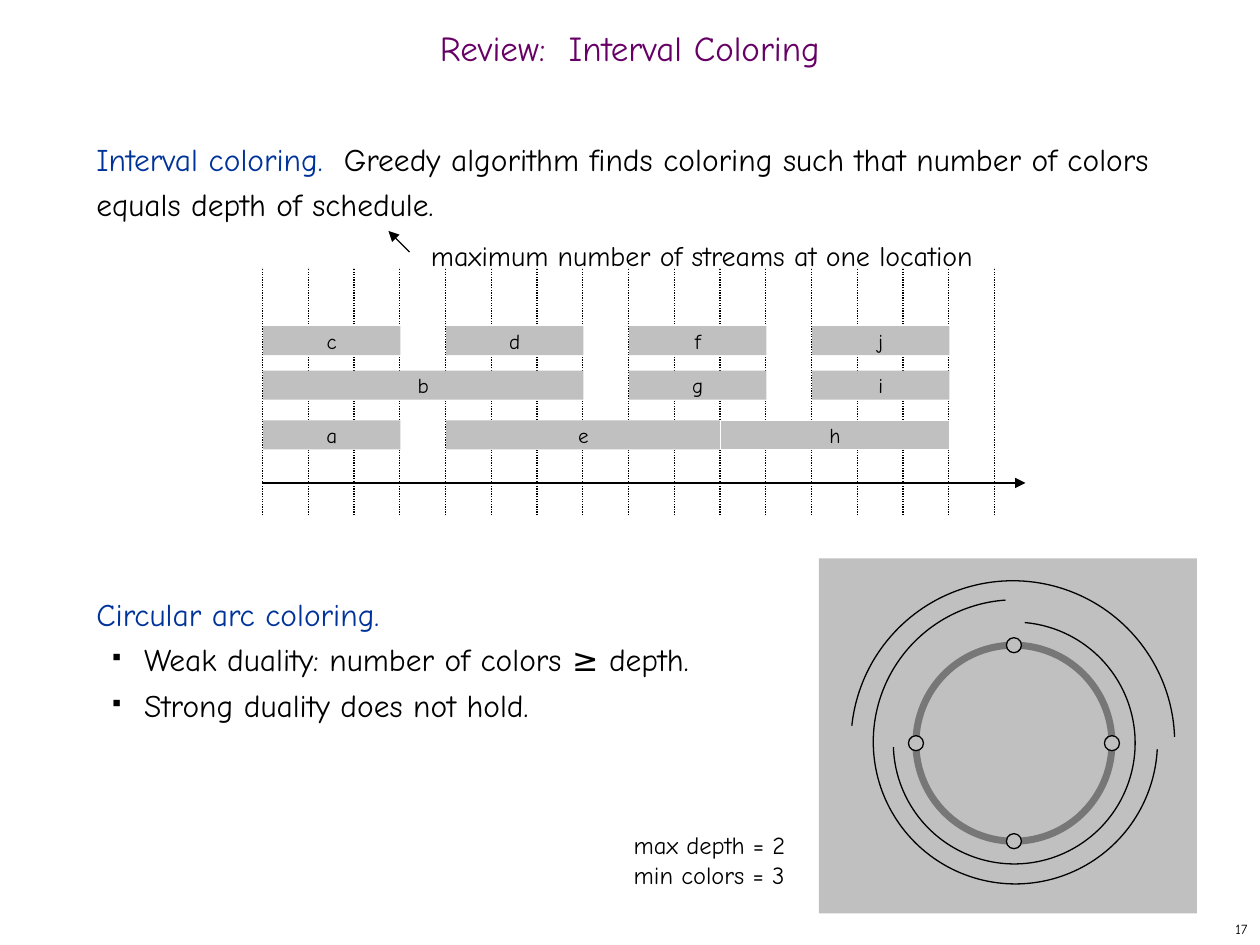
from dataclasses import dataclass

from lxml import etree
from pptx import Presentation
from pptx import util as u
from pptx.dml import color
from pptx.enum import dml, shapes, text
from pptx.oxml import ns


@dataclass(frozen=True)
class Theme:
    """Colours, font and type sizes of the deck."""
    font: str = "Comic Neue"
    ink: str = "000000"
    heading: str = "660066"
    accent: str = "003399"
    panel: str = "C0C0C0"
    ring: str = "777777"
    paper: str = "FFFFFF"
    title: float = 20
    body: float = 18
    caption: float = 16
    note: float = 14
    label: float = 12
    number: float = 8
    thin: float = 0.75


class Painter:
    """Draws themed elements on the current slide, in points."""

    def __init__(self, slide, theme):
        """Keep the slide and the theme."""
        self.slide, self.theme = slide, theme

    def style(self, span, size, ink=None):
        """Format one run."""
        span.font.name, span.font.size = self.theme.font, u.Pt(size)
        span.font.color.rgb = color.RGBColor.from_string(ink or self.theme.ink)

    def fill_text(self, frame, words, size, ink=None, align=None, middle=False, wrap=True):
        """Set the text of a frame and format all of it."""
        frame.text = words
        frame.word_wrap = wrap
        frame.auto_size = text.MSO_AUTO_SIZE.NONE
        frame.vertical_anchor = text.MSO_ANCHOR.MIDDLE if middle else text.MSO_ANCHOR.TOP
        for para in frame.paragraphs:
            para.alignment = align
            for span in para.runs:
                self.style(span, size, ink)

    def title(self, words, left, top, width, height):
        """Move and format the title placeholder."""
        box = self.slide.shapes.title
        box.left, box.top, box.width, box.height = map(u.Pt, (left, top, width, height))
        self.fill_text(box.text_frame, words, self.theme.title, self.theme.heading,
                       text.PP_ALIGN.CENTER, middle=True)
        box.text_frame.paragraphs[0].line_spacing = 0.7

    def text_box(self, words, left, top, width, height, size, **options):
        """Add a text box and return its frame."""
        box = self.slide.shapes.add_textbox(*map(u.Pt, (left, top, width, height)))
        self.fill_text(box.text_frame, words, size, **options)
        return box.text_frame

    def body(self, paragraphs, left, top, width, height, leading):
        """Add body text from (spans, bulleted, space before) entries."""
        frame = self.text_box("", left, top, width, height, self.theme.body)
        for index, (spans, bulleted, gap) in enumerate(paragraphs):
            para = frame.add_paragraph() if index else frame.paragraphs[0]
            para.line_spacing, para.space_before = u.Pt(leading), u.Pt(gap)
            for words, ink in spans:
                span = para.add_run()
                span.text = words
                self.style(span, self.theme.body, ink)
            if bulleted:
                self.bullet(para)

    def bullet(self, para):
        """Give a paragraph a small square bullet and a hanging indent."""
        props = para._p.get_or_add_pPr()
        props.set("marL", str(u.Pt(27.36)))
        props.set("indent", str(u.Pt(-18)))
        tint = etree.SubElement(props, ns.qn("a:buClr"))
        etree.SubElement(tint, ns.qn("a:srgbClr"), val=self.theme.ink)
        etree.SubElement(props, ns.qn("a:buSzPct"), val="35000")
        etree.SubElement(props, ns.qn("a:buChar"), char="■")

    def shape(self, kind, left, top, width, height, fill=None, line=None, weight=None):
        """Add a preset shape with an optional fill and outline."""
        shape = self.slide.shapes.add_shape(kind, *map(u.Pt, (left, top, width, height)))
        shape.shadow.inherit = False
        if fill:
            shape.fill.solid()
            shape.fill.fore_color.rgb = color.RGBColor.from_string(fill)
        else:
            shape.fill.background()
        if line:
            shape.line.color.rgb = color.RGBColor.from_string(line)
            shape.line.width = u.Pt(weight or self.theme.thin)
        else:
            shape.line.fill.background()
        return shape

    def bar(self, label, left, top, width, height, line=None):
        """Add a labelled interval bar."""
        box = self.shape(shapes.MSO_SHAPE.RECTANGLE, left, top, width, height,
                         self.theme.panel, line)
        self.fill_text(box.text_frame, label, self.theme.label,
                       align=text.PP_ALIGN.CENTER, middle=True, wrap=False)

    def circle(self, x, y, radius, line, weight=None):
        """Add a filled circle around a centre."""
        self.shape(shapes.MSO_SHAPE.OVAL, x - radius, y - radius, 2 * radius, 2 * radius,
                   self.theme.panel, line, weight)

    def arc(self, x, y, radius, start, end):
        """Add a clockwise arc between two angles in degrees."""
        arc = self.shape(shapes.MSO_SHAPE.ARC, x - radius, y - radius, 2 * radius,
                         2 * radius, line=self.theme.ink)
        for index, angle in enumerate((start, end)):
            arc.adjustments[index] = angle * 0.6

    def line(self, x1, y1, x2, y2, weight=None, dotted=False, arrow=False):
        """Add a straight line, dotted or with an arrowhead if asked."""
        line = self.slide.shapes.add_connector(
            shapes.MSO_CONNECTOR.STRAIGHT, *map(u.Pt, (x1, y1, x2, y2)))
        line.line.color.rgb = color.RGBColor.from_string(self.theme.ink)
        line.line.width = u.Pt(weight or self.theme.thin)
        if dotted:
            line.line.dash_style = dml.MSO_LINE.ROUND_DOT
        props = line._element.spPr
        if arrow:
            etree.SubElement(props.find(ns.qn("a:ln")), ns.qn("a:tailEnd"), type="triangle")
        etree.SubElement(props, ns.qn("a:effectLst"))


def draw_schedule(painter):
    """Draw the time grid, its axis and the interval bars."""
    left, step, axis = 150, 26.14, 276
    for index in range(17):
        x = left + index * step
        painter.line(x, 294.5, x, 153, dotted=True)
    painter.line(left, axis, 586, axis, weight=1.25, arrow=True)
    rows = {
        186.4: [("c", 0, 3), ("d", 4, 3), ("f", 8, 3), ("j", 12, 3)],
        211.8: [("b", 0, 7), ("g", 8, 3), ("i", 12, 3)],
        240.3: [("a", 0, 3), ("e", 4, 6), ("h", 10, 5)],
    }
    for top, bars in rows.items():
        for label, start, length in bars:
            painter.bar(label, left + start * step + 0.4, top, length * step, 16.6,
                        painter.theme.paper if label == "h" else None)


def draw_circular_arcs(painter):
    """Draw the ring with four nodes and the three arcs around it."""
    theme, x, y, radius = painter.theme, 579.4, 424.7, 56
    painter.shape(shapes.MSO_SHAPE.RECTANGLE, 468, 319, 216, 203, theme.panel)
    painter.circle(x, y, radius, theme.ring, 4)
    for across, down in ((0, -1), (0, 1), (1, 0), (-1, 0)):
        painter.circle(x + across * radius, y + down * radius, 4.3, theme.ink)
    painter.arc(578.8, 424.4, 92.5, 186, 358)
    painter.arc(580.2, 423.9, 81.2, 3, 266)
    painter.arc(579.6, 424.6, 69.1, 275, 178)


def main():
    """Build the slide and save the deck."""
    deck = Presentation()
    deck.slide_width, deck.slide_height = u.Pt(720), u.Pt(540)
    theme = Theme()
    painter = Painter(deck.slides.add_slide(deck.slide_layouts[5]), theme)
    painter.title("Review:  Interval Coloring", 0, 12, 720, 36)
    painter.body([
        ([("Interval coloring.  ", theme.accent),
          ("Greedy algorithm finds coloring such that number of colors "
           "equals depth of schedule.", theme.ink)], False, 0),
        ([("Circular arc coloring.", theme.accent)], False, 208),
        ([("Weak duality: number of colors ≥ depth.", theme.ink)], True, 0),
        ([("Strong duality does not hold.", theme.ink)], True, 0),
    ], 48, 72, 618, 426, leading=26)
    painter.text_box("17", 570, 522, 150, 18, theme.number,
                     align=text.PP_ALIGN.RIGHT, middle=True)
    draw_schedule(painter)
    painter.line(234, 144, 222, 132, arrow=True)
    painter.text_box("maximum number of streams at one location",
                     239.2, 132.5, 345, 26.5, theme.caption, wrap=False)
    draw_circular_arcs(painter)
    painter.text_box("max depth = 2\vmin colors = 3", 355, 471, 107, 46,
                     theme.note, wrap=False)
    deck.save("out.pptx")


main()
